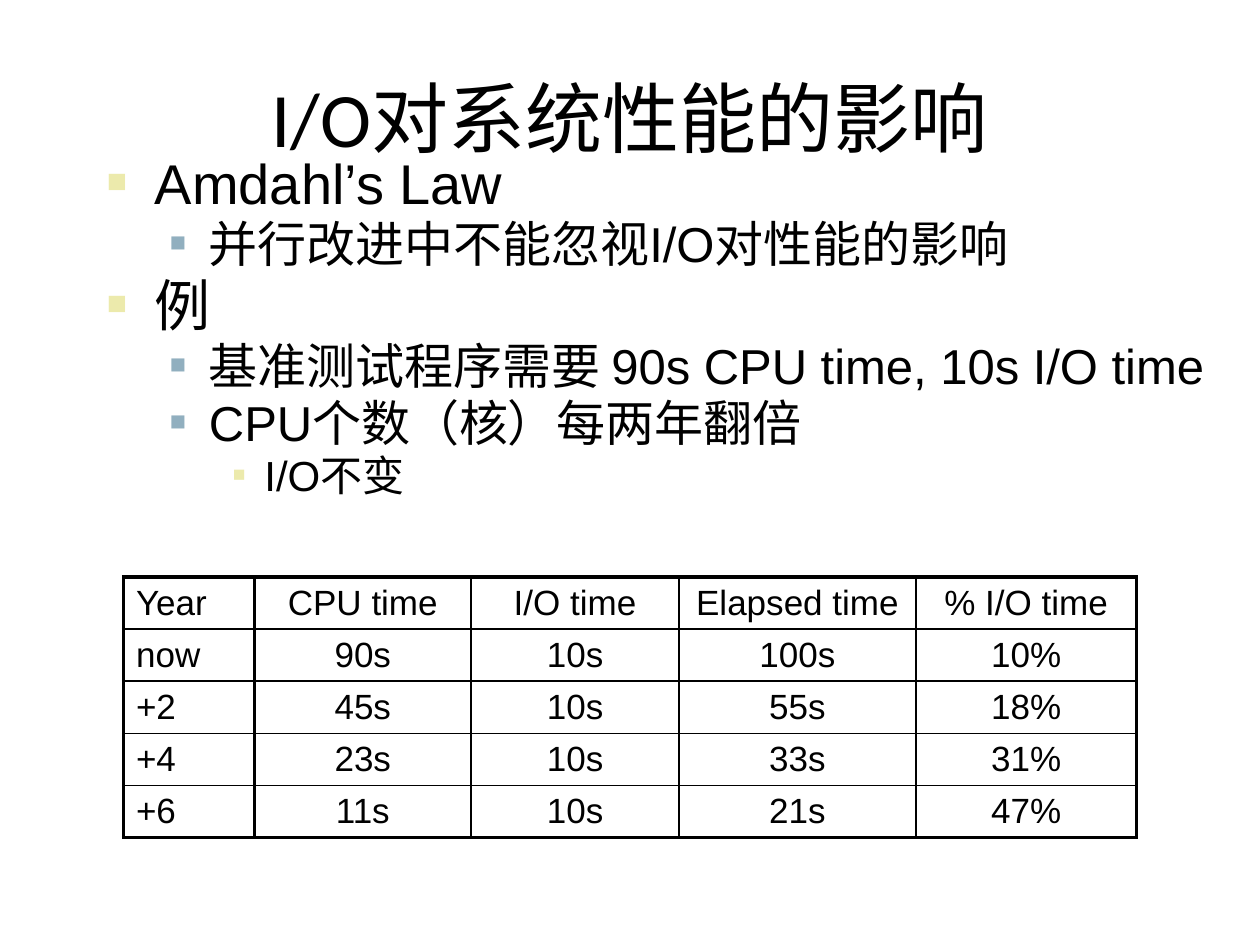
from dataclasses import dataclass
from lxml import etree
from pptx import Presentation
from pptx.dml.color import RGBColor
from pptx.enum.text import MSO_ANCHOR, PP_ALIGN
from pptx.oxml.ns import qn
from pptx.slide import Slide
from pptx.util import Inches, Pt

LEFT, CENTER = PP_ALIGN.LEFT, PP_ALIGN.CENTER
TOP, MIDDLE = MSO_ANCHOR.TOP, MSO_ANCHOR.MIDDLE
COLORS = {"text": "000000", "sand": "ECEAAC", "steel": "91AFBF"}
LEVELS = [
    dict(size=32, margin=0.38, hang=0.38, color="sand", share=60),
    dict(size=28, margin=0.81, hang=0.31, color="steel", share=55),
    dict(size=24, margin=1.25, hang=0.25, color="sand", share=50),
]
BULLETS = [
    (0, "Amdahl’s Law"),
    (1, "并行改进中不能忽视I/O对性能的影响"),
    (0, "例"),
    (1, "基准测试程序需要 90s CPU time, 10s I/O time"),
    (1, "CPU个数（核）每两年翻倍"),
    (2, "I/O不变"),
]
TIMES = [
    ("Year", "CPU time", "I/O time", "Elapsed time", "% I/O time"),
    ("now", "90s", "10s", "100s", "10%"),
    ("+2", "45s", "10s", "55s", "18%"),
    ("+4", "23s", "10s", "33s", "31%"),
    ("+6", "11s", "10s", "21s", "47%"),
]


def grid(n):
    """Convert grid steps, forty across the slide, to a length."""
    return Inches(n * 0.25)


def add_node(parent, tag, **attrs):
    """Append an XML child with the given attributes."""
    node = etree.SubElement(parent, qn(tag))
    for name, value in attrs.items():
        node.set(name, str(value))
    return node


@dataclass
class Deck:
    """Hold the text style and the current slide."""

    s: Slide
    body_font: str = "Arial"
    title_font: str = "Calibri"

    def style(self, p, size, font, align=LEFT):
        """Set the font and alignment of a paragraph."""
        p.alignment = align
        p.font.size, p.font.name = Pt(size), font
        p.font.color.rgb = RGBColor.from_string(COLORS["text"])

    def frame(self, x, y, w, h, anchor=TOP):
        """Add a wrapping text box and return its text frame."""
        sp = self.s.shapes.add_textbox(*map(grid, (x, y, w, h)))
        tf = sp.text_frame
        tf.word_wrap, tf.vertical_anchor = True, anchor
        return tf

    def title(self, text, *box):
        """Add the centred heading."""
        p = self.frame(*box, anchor=MIDDLE).paragraphs[0]
        p.text = text
        self.style(p, 44, self.title_font, CENTER)

    def bullets(self, items, *box):
        """Add a list with square bullets on several levels."""
        tf = self.frame(*box)
        for i, (level, text) in enumerate(items):
            p = tf.add_paragraph() if i else tf.paragraphs[0]
            look = LEVELS[level]
            p.text, p.level = text, level
            p.line_spacing = 0.8
            p.space_before = Pt(look["size"] * 0.2)
            pPr = p._p.get_or_add_pPr()
            pPr.set("marL", str(Inches(look["margin"])))
            pPr.set("indent", str(-Inches(look["hang"])))
            color = add_node(pPr, "a:buClr")
            add_node(color, "a:srgbClr", val=COLORS[look["color"]])
            add_node(pPr, "a:buSzPct", val=look["share"] * 1000)
            add_node(pPr, "a:buFont", typeface=self.body_font)
            add_node(pPr, "a:buChar", char="■")
            self.style(p, look["size"], self.body_font)

    def borders(self, cell, widths):
        """Draw the left, right, top and bottom edges of a cell."""
        tcPr = cell._tc.get_or_add_tcPr()
        for i, (side, width) in enumerate(zip("LRTB", widths)):
            ln = add_node(tcPr, f"a:ln{side}", w=Pt(width))
            fill = add_node(ln, "a:solidFill")
            add_node(fill, "a:srgbClr", val=COLORS["text"])
            tcPr.insert(i, ln)

    def table(self, rows, x, y, widths, height):
        """Add a ruled table with a heavy frame and header lines."""
        n, m = len(rows), len(widths)
        size = map(grid, (x, y, sum(widths), n * height))
        table = self.s.shapes.add_table(n, m, *size).table
        edges_x = [2.25, 1.5] + [1] * (m - 2) + [2.25]
        edges_y = [2.25, 1.5] + [1] * (n - 2) + [2.25]
        for j, width in enumerate(widths):
            table.columns[j].width = grid(width)
        for i, row in enumerate(rows):
            table.rows[i].height = grid(height)
            for j, text in enumerate(row):
                cell = table.cell(i, j)
                cell.text = text
                cell.vertical_anchor = MIDDLE
                cell.margin_top = cell.margin_bottom = Inches(0.04)
                cell.fill.background()
                self.borders(cell, edges_x[j:j + 2] + edges_y[i:i + 2])
                self.style(cell.text_frame.paragraphs[0], 20,
                           self.body_font, CENTER if j else LEFT)


prs = Presentation()
prs.slide_width, prs.slide_height = grid(40), grid(30)
deck = Deck(prs.slides.add_slide(prs.slide_layouts[6]))
deck.title("I/O对系统性能的影响", 2, 1.2, 36, 5)
deck.bullets(BULLETS, 3, 4.92, 36.2, 13.24)
deck.table(TIMES, 3.92, 18.32, [4.16, 6.88, 6.6, 7.52, 7], 1.64)
prs.save("out.pptx")
